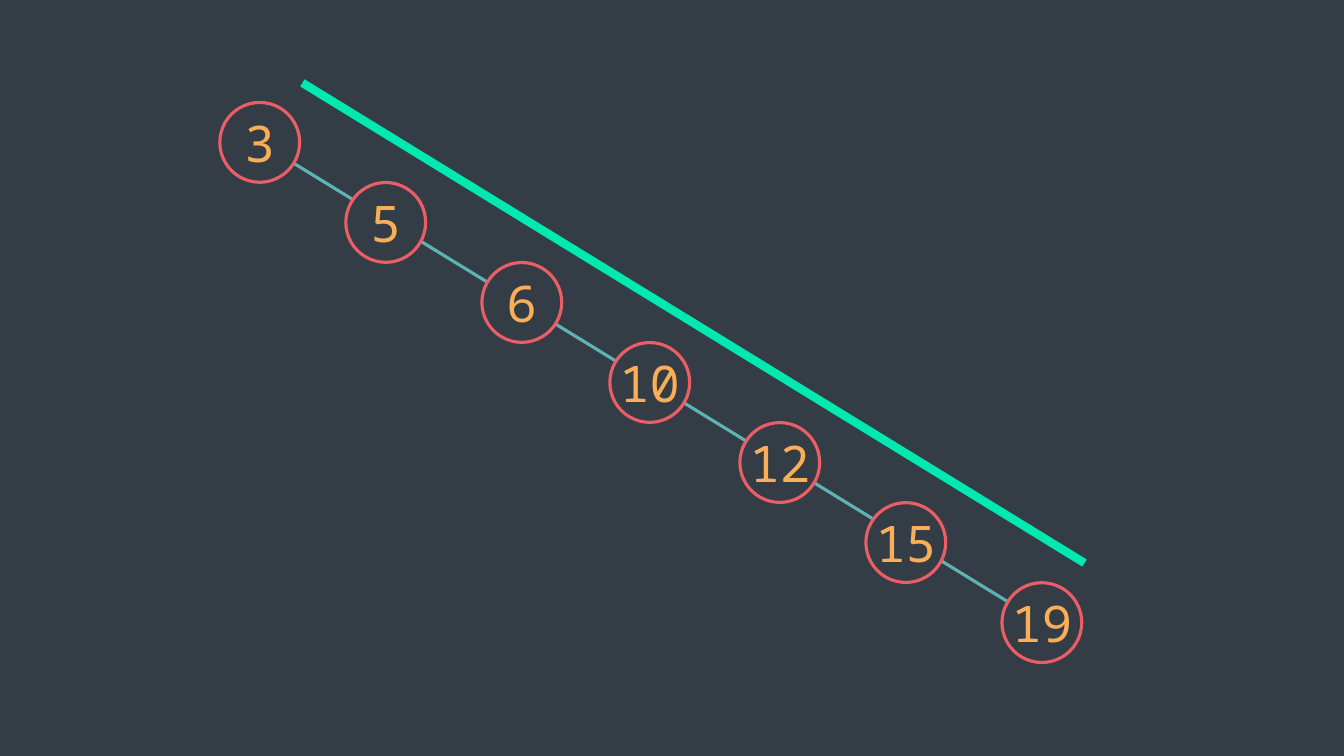
from pptx import Presentation
from pptx.util import Pt
from pptx.dml.color import RGBColor
from pptx.enum.shapes import MSO_SHAPE as Shape, MSO_CONNECTOR as Conn
from pptx.enum.text import PP_ALIGN as Align, MSO_ANCHOR as Anchor
from pptx.oxml.ns import qn
from lxml.etree import SubElement as sub

BACK, EDGE, RING, TEXT, MARK = "343D46", "5EB4B4", "EC5E66", "F9AE57", "00E9B1"
SIZE = 57  # node diameter
# Each node: value and distance from the left of the box
NODES = [("3", 0), ("5", 90), ("6", 187.2), ("10", 278.6),
         ("12", 371.5), ("15", 461.5), ("19", 558.7)]


def paint(fmt, color):
    fmt.solid()
    fmt.fore_color.rgb = RGBColor.from_string(color)


def add_line(slide, start, end, color, width):
    line = slide.shapes.add_connector(
        Conn.STRAIGHT, *(Pt(v) for v in (*start, *end)))
    paint(line.line.fill, color)
    line.line.width = Pt(width)
    sub(line._element.spPr, qn("a:effectLst"))


def add_node(slide, x, y, value):
    node = slide.shapes.add_shape(
        Shape.OVAL, Pt(x), Pt(y), Pt(SIZE), Pt(SIZE))
    node.shadow.inherit = False
    paint(node.fill, BACK)
    paint(node.line.fill, RING)
    node.line.width = Pt(2.25)
    frame = node.text_frame
    frame.word_wrap = False
    frame.vertical_anchor = Anchor.MIDDLE
    para = frame.paragraphs[0]
    para.alignment = Align.CENTER
    run = para.add_run()
    run.text = value
    run.font.name = "Noto Sans Mono"
    run.font.size = Pt(36)
    paint(run.font.fill, TEXT)


def add_chain(slide, left, top, width, height):
    half = SIZE / 2
    start = left + half, top + half
    end = left + width - half, top + height - half
    # Edge behind the nodes
    add_line(slide, start, end, EDGE, 2.25)
    # Nodes, evenly spaced downwards
    step = (height - SIZE) / (len(NODES) - 1)
    for i, (value, x) in enumerate(NODES):
        add_node(slide, left + x, top + i * step, value)
    # Thick line parallel to the chain
    dx, dy = 30.5, -42.5
    add_line(slide, (start[0] + dx, start[1] + dy),
             (end[0] + dx, end[1] + dy), MARK, 6)


def main():
    deck = Presentation()
    deck.slide_width, deck.slide_height = Pt(960), Pt(540)
    slide = deck.slides.add_slide(deck.slide_layouts[6])
    paint(slide.background.fill, BACK)
    add_chain(slide, 157, 73.2, 615.7, 400)
    deck.save("out.pptx")


if __name__ == "__main__":
    main()
